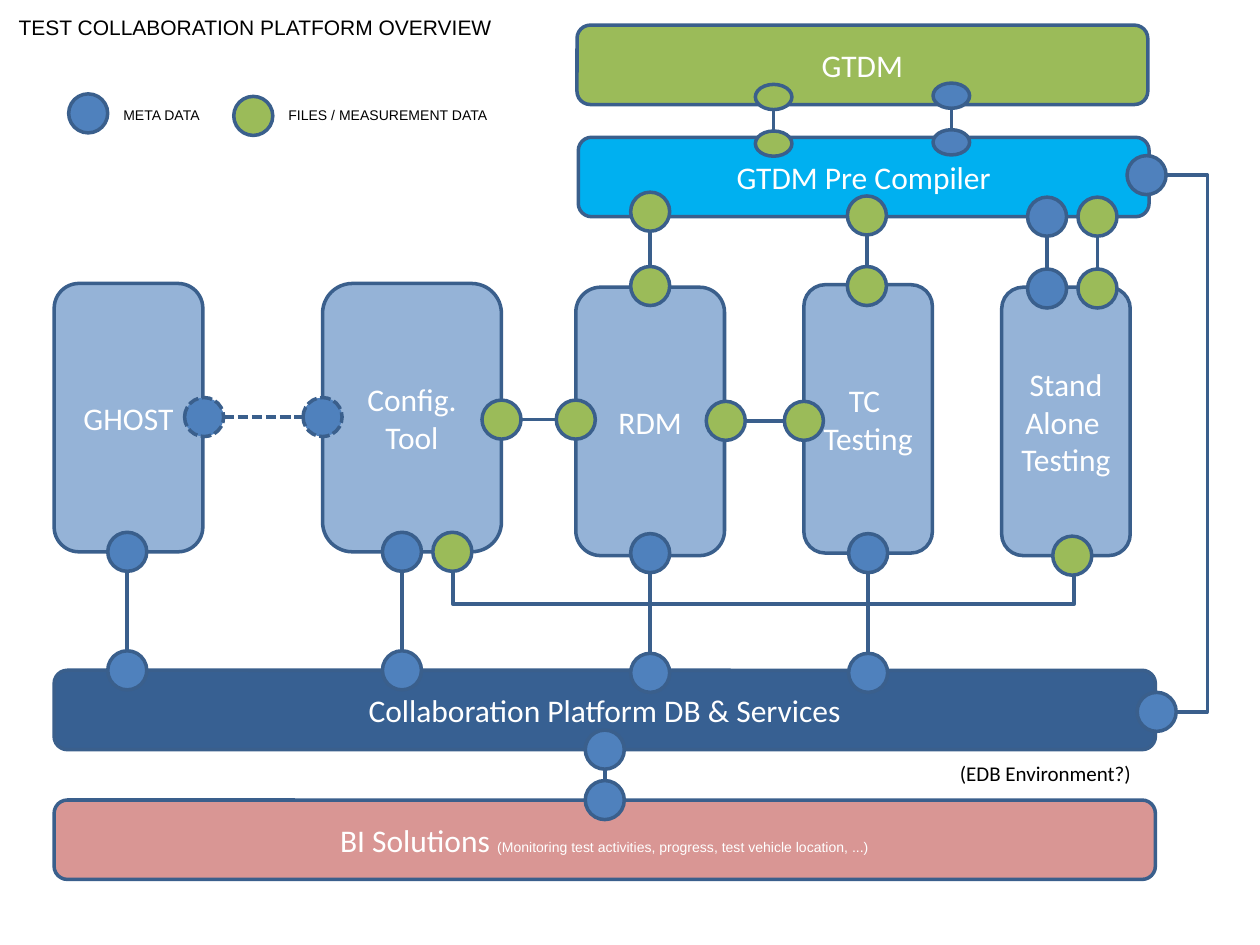
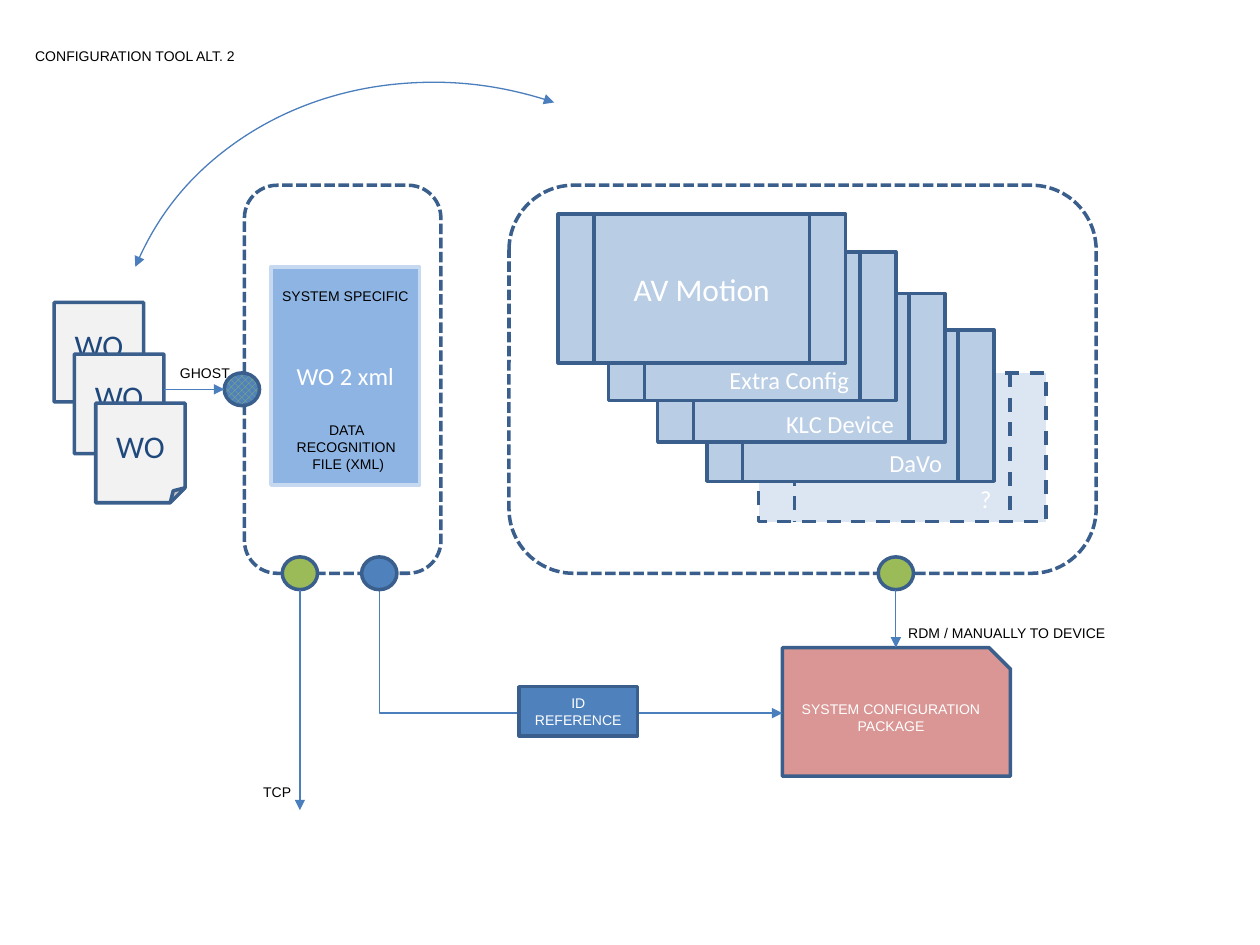
"""Builds two diagrams: a test collaboration platform and its configuration tool."""
import pptx
import pptx.dml.color
import pptx.enum.dml
import pptx.enum.shapes
import pptx.enum.text
import pptx.util
from pptx.oxml import ns, xmlchemy
from pptx.util import Inches

SHAPE = pptx.enum.shapes.MSO_SHAPE
CONNECTOR = pptx.enum.shapes.MSO_CONNECTOR
DASH = pptx.enum.dml.MSO_LINE
ALIGN = pptx.enum.text.PP_ALIGN

COLORS = {
    "outline": "3A5F8C", "arrow": "4B7EBC", "meta": "4F81BD", "files": "9BBB59",
    "compiler": "00B0F0", "tool": "95B3D7", "database": "376092", "package": "D99694",
    "order": "F2F2F2", "order_text": "1F497D", "xml": "8EB4E3", "xml_edge": "C6D9F1",
    "device": "B9CDE5", "unknown": "DCE6F2", "white": "FFFFFF", "black": "000000",
}


class Diagram:
    """Holds the shared style and the slide being drawn."""

    def __init__(self):
        self.deck = pptx.Presentation()
        self.deck.slide_width, self.deck.slide_height = Inches(10), Inches(7.5)
        self.slide = None

    def new_slide(self):
        self.slide = self.deck.slides.add_slide(self.deck.slide_layouts[6])

    def color(self, name):
        return pptx.dml.color.RGBColor.from_string(COLORS[name])

    def style_font(self, font, size, face, color):
        font.size, font.name = pptx.util.Pt(size), face
        font.color.rgb = self.color(color)

    def style_line(self, line, color="outline", width=2, dash=None):
        line.color.rgb = self.color(color)
        line.width = pptx.util.Pt(width)
        if dash:
            line.dash_style = dash

    def add_arrowheads(self, line, *ends):
        for end in ends:
            head = xmlchemy.OxmlElement(f"a:{end}")
            head.set("type", "triangle")
            line._get_or_add_ln().append(head)

    def fill_text(self, frame, text, size, face, color, align):
        for index, words in enumerate(text.split("\n")):
            paragraph = frame.add_paragraph() if index else frame.paragraphs[0]
            paragraph.text = words
            paragraph.alignment = align
            self.style_font(paragraph.font, size, face, color)

    def block(self, kind, left, top, width, height, fill=None, text="", size=18,
              face="Calibri", color="white", edge="outline", dash=None):
        box = self.slide.shapes.add_shape(
            kind, Inches(left), Inches(top), Inches(width), Inches(height))
        box.shadow.inherit = False
        if fill:
            box.fill.solid()
            box.fill.fore_color.rgb = self.color(fill)
        else:
            box.fill.background()
        self.style_line(box.line, edge, dash=dash)
        if text:
            box.text_frame.vertical_anchor = pptx.enum.text.MSO_ANCHOR.MIDDLE
            self.fill_text(box.text_frame, text, size, face, color, ALIGN.CENTER)
        return box

    def label(self, left, top, width, height, text, size=8, face="Arial",
              color="black", align=ALIGN.LEFT):
        box = self.slide.shapes.add_textbox(
            Inches(left), Inches(top), Inches(width), Inches(height))
        box.text_frame.word_wrap = False
        box.text_frame.auto_size = pptx.enum.text.MSO_AUTO_SIZE.SHAPE_TO_FIT_TEXT
        self.fill_text(box.text_frame, text, size, face, color, align)

    def port(self, x, y, fill, size=(0.31, 0.31), dash=None):
        width, height = size
        return self.block(SHAPE.OVAL, x - width / 2, y - height / 2, width, height,
                          fill, dash=dash)

    def line(self, x1, y1, x2, y2, kind=CONNECTOR.STRAIGHT, dash=None, arrow=False):
        connector = self.slide.shapes.add_connector(
            kind, Inches(x1), Inches(y1), Inches(x2), Inches(y2))
        if arrow:
            self.style_line(connector.line, "arrow", 0.75)
            self.add_arrowheads(connector.line, "tailEnd")
        else:
            self.style_line(connector.line, dash=dash)
        connector._element.spPr.append(xmlchemy.OxmlElement("a:effectLst"))
        return connector

    def elbow(self, left, top, width, height, preset, rotation=0, flips=("flipH",),
              bend=None, arrow=False):
        connector = self.line(left, top, left + width, top + height,
                              CONNECTOR.ELBOW, arrow=arrow)
        properties = connector._element.spPr
        frame = properties.find(ns.qn("a:xfrm"))
        frame.set("rot", str(rotation * 60000))
        for flip in flips:
            frame.set(flip, "1")
        geometry = properties.find(ns.qn("a:prstGeom"))
        geometry.set("prst", preset)
        if bend is not None:
            guide = xmlchemy.OxmlElement("a:gd")
            guide.set("name", "adj1")
            guide.set("fmla", f"val {round(bend * 100000)}")
            geometry.find(ns.qn("a:avLst")).append(guide)

    def link(self, x1, y1, x2, y2, fill, size=(0.31, 0.31), dash=None):
        dx = size[0] / 2 if y1 == y2 else 0
        dy = size[1] / 2 if x1 == x2 else 0
        self.line(x1 + dx, y1 + dy, x2 - dx, y2 - dy, dash=dash)
        self.port(x1, y1, fill, size, dash)
        self.port(x2, y2, fill, size, dash)


def draw_overview(diagram):
    diagram.new_slide()
    diagram.label(0.05, 0.07, 4.06, 0.3, "TEST COLLABORATION PLATFORM OVERVIEW", 12)

    for left, top, width, height, fill, text in [
        (4.59, 1.09, 4.53, 0.63, "compiler", "GTDM Pre Compiler"),
        (4.58, 0.2, 4.53, 0.63, "files", "GTDM"),
        (0.43, 2.25, 1.18, 2.13, "tool", "GHOST"),
        (2.56, 2.25, 1.42, 2.13, "tool", "Config. Tool"),
        (4.57, 2.28, 1.18, 2.13, "tool", "RDM"),
        (6.38, 2.26, 1.02, 2.13, "tool", "TC \vTesting"),
        (7.95, 2.28, 1.02, 2.13, "tool", "Stand Alone \vTesting"),
        (0.43, 5.32, 8.74, 0.63, "database", "Collaboration Platform DB & Services"),
    ]:
        diagram.block(SHAPE.ROUNDED_RECTANGLE, left, top, width, height, fill, text)

    solutions = diagram.block(SHAPE.ROUNDED_RECTANGLE, 0.43, 6.35, 8.74, 0.63,
                              "package", "BI Solutions ")
    examples = solutions.text_frame.paragraphs[0].add_run()
    examples.text = "(Monitoring test activities, progress, test vehicle location, ...)"
    diagram.style_font(examples.font, 8, "Arial", "white")

    for x, y1, y2, data in [
        (8.71, 1.72, 2.29, "files"), (8.31, 1.72, 2.29, "meta"),
        (5.16, 1.68, 2.27, "files"), (6.88, 1.71, 2.27, "files"),
        (1.01, 4.38, 5.32, "meta"), (3.19, 4.38, 5.32, "meta"),
        (5.16, 4.39, 5.34, "meta"), (6.89, 4.39, 5.34, "meta"),
        (4.8, 5.95, 6.35, "meta"),
    ]:
        diagram.link(x, y1, x, y2, data)
    for x, y, data in [(6.14, 0.77, "files"), (7.55, 0.76, "meta")]:
        diagram.link(x, y, x, y + 0.37, data, (0.29, 0.2))
    for x1, x2, y, data, dash in [
        (1.62, 2.56, 3.31, "meta", DASH.SQUARE_DOT),
        (3.98, 4.57, 3.33, "files", None),
        (5.76, 6.38, 3.34, "files", None),
    ]:
        diagram.link(x1, y, x2, y, data, dash=dash)

    both = ("flipH", "flipV")
    diagram.elbow(9.25, 1.39, 0.08, 4.26, "bentConnector3", 0, both, -3.17)
    diagram.elbow(6.05, 2.07, 0.02, 4.93, "bentConnector3", 90, both, -12.5)
    for x, y, data in [
        (9.18, 5.65, "meta"), (9.1, 1.39, "meta"), (3.59, 4.38, "files"),
        (8.51, 4.41, "files"), (0.7, 0.9, "meta"), (2.01, 0.92, "files"),
    ]:
        diagram.port(x, y, data)

    diagram.label(0.88, 0.8, 0.85, 0.24, "META DATA")
    diagram.label(2.19, 0.8, 1.81, 0.24, "FILES / MEASUREMENT DATA")
    diagram.label(7.52, 5.99, 1.57, 0.3, "(EDB Environment?)", 12, "Calibri")


def draw_configuration_tool(diagram):
    diagram.new_slide()
    port_size = (0.28, 0.26)
    diagram.label(0.18, 0.33, 1.85, 0.24, "CONFIGURATION TOOL ALT. 2")
    for left, width in [(1.94, 1.56), (4.04, 4.66)]:
        diagram.block(SHAPE.ROUNDED_RECTANGLE, left, 1.47, width, 3.08,
                      dash=DASH.SQUARE_DOT)

    for left, top in [(0.43, 2.4), (0.59, 2.81), (0.76, 3.2)]:
        diagram.block(SHAPE.FOLDED_CORNER, left, top, 0.71, 0.79, "order", "WO",
                      color="order_text")
    diagram.block(SHAPE.RECTANGLE, 2.15, 2.12, 1.18, 1.73, "xml", "WO 2 xml", 14,
                  edge="xml_edge")
    diagram.label(2.25, 3.3, 1.03, 0.5, "DATA \nRECOGNITION \nFILE (XML)",
                  align=ALIGN.CENTER)
    diagram.label(2.14, 2.23, 1.22, 0.24, "SYSTEM SPECIFIC")

    intake = diagram.port(1.92, 3.09, "meta", port_size)
    intake.fill.patterned()
    intake.fill.pattern = pptx.enum.dml.MSO_PATTERN.LARGE_CHECKER_BOARD
    intake.fill.fore_color.rgb = diagram.color("files")
    intake.fill.back_color.rgb = diagram.color("meta")
    diagram.line(1.3, 3.09, 1.78, 3.09, arrow=True)
    diagram.label(1.33, 2.84, 0.6, 0.24, "GHOST")

    process = SHAPE.FLOWCHART_PREDEFINED_PROCESS
    for left, top, height, fill, dash, name_left, name_top, name_width, name in [
        (6.02, 2.96, 1.18, "unknown", DASH.DASH, 7.68, 3.79, 0.29, "?"),
        (5.61, 2.62, 1.2, "device", None, 6.96, 3.51, 0.69, "DaVo"),
        (5.22, 2.33, 1.18, "device", None, 6.14, 3.2, 1.1, "KLC Device"),
        (4.83, 2, 1.18, "device", None, 5.69, 2.85, 1.15, "Extra Config"),
    ]:
        diagram.block(process, left, top, 2.28, height, fill, dash=dash)
        diagram.label(name_left, name_top, name_width, 0.34, name, 14, "Calibri", "white")
    diagram.block(process, 4.43, 1.7, 2.28, 1.18, "device", "AV Motion")

    exchange = diagram.block(SHAPE.ARC, 1.16, 0.4, 4.98, 5.58)
    exchange.rotation = 292.6
    exchange.adjustments[0], exchange.adjustments[1] = 162, 212.93
    diagram.style_line(exchange.line, "arrow", 0.75)
    diagram.add_arrowheads(exchange.line, "headEnd", "tailEnd")

    diagram.block(SHAPE.SNIP_1_RECTANGLE, 6.21, 5.14, 1.81, 1.02, "package",
                  "SYSTEM CONFIGURATION PACKAGE", 8, "Arial")
    diagram.elbow(4.12, 3.57, 0.98, 3.2, "bentConnector2", 270, arrow=True)
    diagram.block(SHAPE.RECTANGLE, 4.12, 5.45, 0.94, 0.39, "meta", "ID\nREFERENCE",
                  8, "Arial")
    for x, data in [(2.38, "files"), (3.01, "meta"), (7.11, "files")]:
        diagram.port(x, 4.55, data, port_size)
    for x, bottom in [(2.38, 6.43), (7.11, 5.14)]:
        diagram.line(x, 4.68, x, bottom, arrow=True)
    diagram.label(1.99, 6.17, 0.43, 0.24, "TCP")
    diagram.label(7.11, 4.91, 1.8, 0.24, "RDM / MANUALLY TO DEVICE")


def main():
    diagram = Diagram()
    draw_overview(diagram)
    draw_configuration_tool(diagram)
    diagram.deck.save("out.pptx")


if __name__ == "__main__":
    main()
